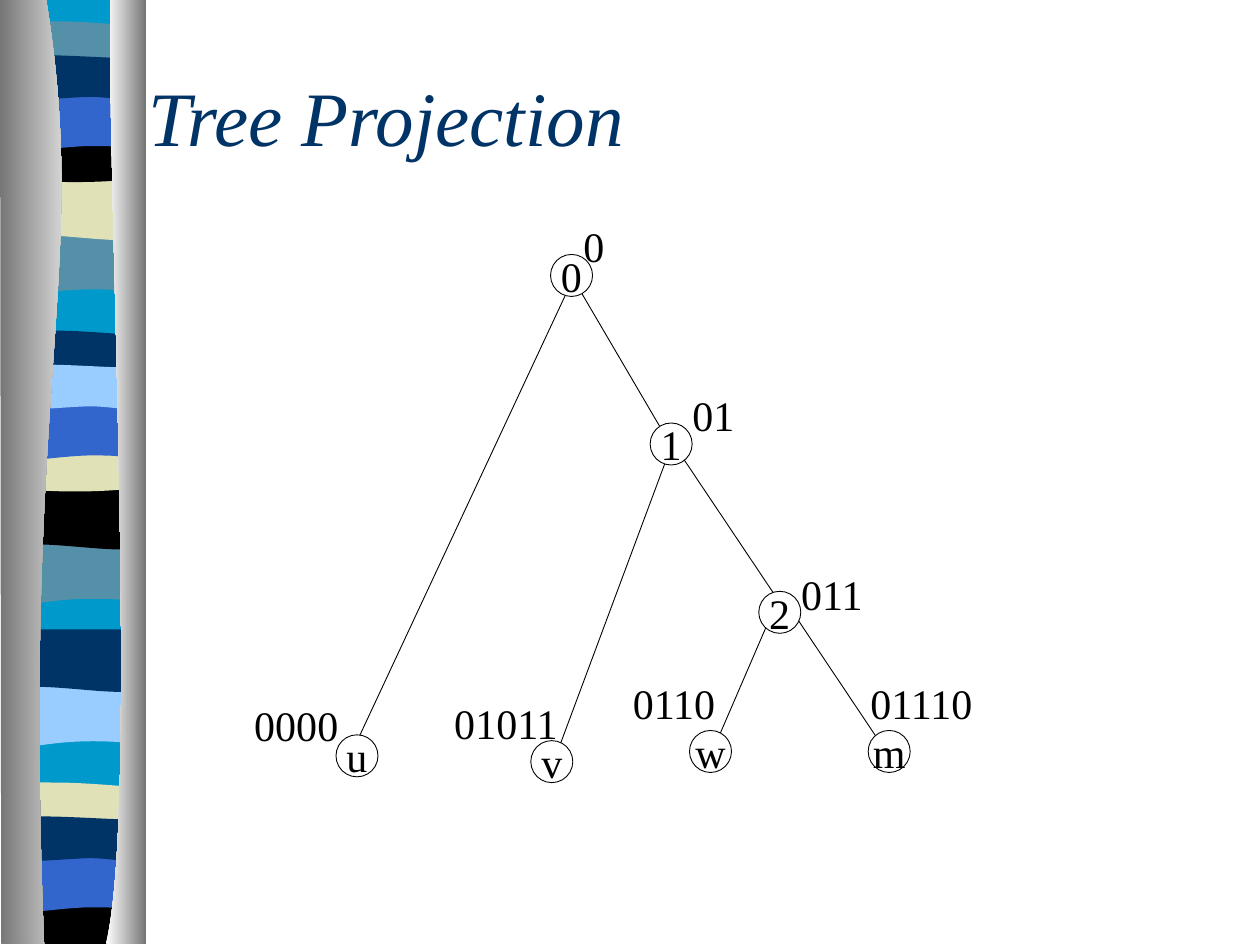
from dataclasses import dataclass
from lxml.etree import SubElement
from pptx import Presentation
from pptx.dml.color import RGBColor as Rgb
from pptx.enum.shapes import MSO_CONNECTOR as Connector, MSO_SHAPE as Preset
from pptx.enum.text import MSO_ANCHOR as Anchor, PP_ALIGN as Align
from pptx.oxml.ns import qn
from pptx.util import Pt


@dataclass(frozen=True)
class Theme:
    font: str = "Times New Roman"
    title_size: float = 44
    text_size: float = 24
    line_width: float = 0.5
    ink: str = "000000"
    paper: str = "FFFFFF"
    navy: str = "003366"
    blue: str = "3366CC"
    cyan: str = "0099CC"
    sky: str = "99CCFF"
    teal: str = "5490A8"
    sand: str = "E1E1B7"
    shade: str = "767676"


THEME = Theme()
PAGE_WIDTH, PAGE_HEIGHT = 720, 540
NODE_SIZE = 24

# Outlines in points: a pair is a corner, six numbers are a Bezier curve
BANDS = {
    "A": [(82, 133.2), (82, 167), (28, 161.3, 17.3, 172.8, 4, 167), (4, 133.2)],
    "B": [(82, 101.5), (82, 135.4), (69, 141.1, 28, 131, 4, 135.4), (4, 101.5)],
    "C": [(82, 15.1), (82, 32.4), (69, 35.3, 17, 35.3, 4, 32.4), (4, 15.1),
          (8.6, 11.5, 20.9, 12.2, 33.8, 12.2), (46.8, 12.2, 72, 14.4, 82, 15.1)],
    "D": [(82, 77.8), (82, 100.8), (69, 105.1, 17, 105.1, 4, 100.8), (4, 77.8),
          (51.8, 81.4, 65.5, 77.8, 82, 77.8)],
    "E": [(82, 53.3), (82, 87.1), (69.8, 83.5, 64.8, 83.5, 51.8, 83.5),
          (38.9, 83.5, 15.8, 87.1, 4, 87.1), (4, 53.3)],
    "F": [(82, 33.1), (82, 55.4), (77, 59, 64.8, 55.4, 51.8, 55.4),
          (38.9, 55.4, 12.2, 59, 4, 55.4), (4, 33.1),
          (15.1, 29.5, 56.9, 33.1, 69.8, 33.1), (82.8, 33.1, 79.2, 33.1, 82, 33.1)],
    "foot": [(82, 77.8), (82, 104.3), (4, 104.3), (4, 77.8),
             (51.8, 81.4, 65.5, 77.8, 82, 77.8)],
}
# Each repeat of the bands: vertical shift and colours, back to front
REPEATS = [
    (0, {"A": THEME.teal, "B": THEME.sand, "C": THEME.teal,
         "D": THEME.ink, "E": THEME.blue, "F": THEME.navy}),
    (176.8, {"A": THEME.teal, "B": THEME.ink, "C": THEME.navy,
             "D": THEME.sand, "E": THEME.blue, "F": THEME.sky}),
    (258.2, {"A": THEME.sky, "B": THEME.navy}),
    (435, {"C": THEME.sand, "foot": THEME.ink, "E": THEME.blue, "F": THEME.navy}),
]
BACKDROP = [(82, -0.7), (82, 537.8), (4, 537.8), (4, -0.7)]
LEFT_EDGE = [(26.3, -0.7), (51.8, 155.5, 12.2, 213.1, 25.2, 539.3),
             (0.7, 539.3), (0, -0.7)]
RIGHT_EDGE = [(63.2, -0.7), (60.5, 90, 79.9, 465.1, 60.5, 539.3),
              (83.5, 539.3), (83.5, 0)]

# Tree: name, node left and top, code, code left and top
NODES = [
    ("0", 314.6, 145.4, "0", 326.2, 122.6),
    ("1", 371.5, 241.7, "01", 388.6, 218.9),
    ("2", 433.6, 337.9, "011", 450.7, 321.1),
    ("u", 192, 419.9, "0000", 138.2, 396),
    ("v", 303.3, 423.2, "01011", 252.5, 395),
    ("w", 394, 417.4, "0110", 354.5, 383.4),
    ("m", 496.1, 417.4, "01110", 490.3, 383.4),
]
BRANCHES = [
    (326.2, 157, 382.3, 252.7), (388.1, 258.5, 445, 343.4),
    (382.3, 258.5, 319, 428.4), (326.2, 162, 203.8, 424.1),
    (439.2, 355, 405.4, 433.4), (456.5, 355, 509, 433.4),
]


def bend(shape, parts):
    """Join the three points of each curve into one Bezier segment."""
    corners = iter(list(shape.element.iter(qn("a:lnTo"))))
    for part in parts:
        first = next(corners)
        if len(part) == 6:
            first.tag = qn("a:cubicBezTo")
            for corner in (next(corners), next(corners)):
                first.append(corner[0])
                corner.getparent().remove(corner)


def add_outline(page, outline, colors, shift=0):
    points = [(Pt(part[i]), Pt(part[i + 1] + shift))
              for part in outline for i in range(0, len(part), 2)]
    builder = page.shapes.build_freeform(*points[0])
    builder.add_line_segments(points[1:], close=True)
    shape = builder.convert_to_shape()
    bend(shape, outline[1:])
    shape.shadow.inherit = False
    shape.line.fill.background()
    if len(colors) == 1:
        shape.fill.solid()
        shape.fill.fore_color.rgb = Rgb.from_string(colors[0])
    else:
        shape.fill.gradient()
        shape.fill.gradient_angle = 0
        for stop, color in zip(shape.fill.gradient_stops, colors):
            stop.color.rgb = Rgb.from_string(color)


def write(shape, text, size=THEME.text_size, color=THEME.ink, italic=False,
          align=Align.LEFT, anchor=Anchor.TOP):
    frame = shape.text_frame
    frame.word_wrap = False
    frame.vertical_anchor = anchor
    para = frame.paragraphs[0]
    para.alignment = align
    span = para.add_run()
    span.text = text
    for name, value in {"name": THEME.font, "size": Pt(size), "italic": italic}.items():
        setattr(span.font, name, value)
    span.font.color.rgb = Rgb.from_string(color)


def add_text(page, text, left, top, width, height, **style):
    box = page.shapes.add_textbox(Pt(left), Pt(top), Pt(width), Pt(height))
    write(box, text, **style)


def add_branch(page, *ends):
    branch = page.shapes.add_connector(Connector.STRAIGHT, *map(Pt, ends))
    branch.line.width = Pt(THEME.line_width)
    branch.line.color.rgb = Rgb.from_string(THEME.ink)
    SubElement(branch.element.spPr, qn("a:effectLst"))


def add_node(page, name, left, top):
    node = page.shapes.add_shape(Preset.OVAL, Pt(left), Pt(top),
                                 Pt(NODE_SIZE), Pt(NODE_SIZE))
    node.shadow.inherit = False
    node.fill.solid()
    node.fill.fore_color.rgb = Rgb.from_string(THEME.paper)
    node.line.width = Pt(THEME.line_width)
    node.line.color.rgb = Rgb.from_string(THEME.ink)
    write(node, name, align=Align.CENTER, anchor=Anchor.MIDDLE)


def main():
    deck = Presentation()
    deck.slide_width, deck.slide_height = Pt(PAGE_WIDTH), Pt(PAGE_HEIGHT)
    page = deck.slides.add_slide(deck.slide_layouts[6])

    # Striped ribbon between two shaded edges
    add_outline(page, BACKDROP, [THEME.cyan])
    for shift, colors in REPEATS:
        for band, color in colors.items():
            add_outline(page, BANDS[band], [color], shift)
    add_outline(page, LEFT_EDGE, [THEME.shade, THEME.paper])
    add_outline(page, RIGHT_EDGE, [THEME.paper, THEME.shade])

    # Title
    add_text(page, "Tree Projection", 77.8, 41.8, 624.2, 48.2, size=THEME.title_size,
             color=THEME.navy, italic=True, anchor=Anchor.MIDDLE)

    # Tree: branches lie behind the nodes
    for ends in BRANCHES:
        add_branch(page, *ends)
    for name, left, top, code, code_left, code_top in NODES:
        add_node(page, name, left, top)
        add_text(page, code, code_left, code_top, 15 + 12 * len(code), 36)

    deck.save("out.pptx")


if __name__ == "__main__":
    main()
